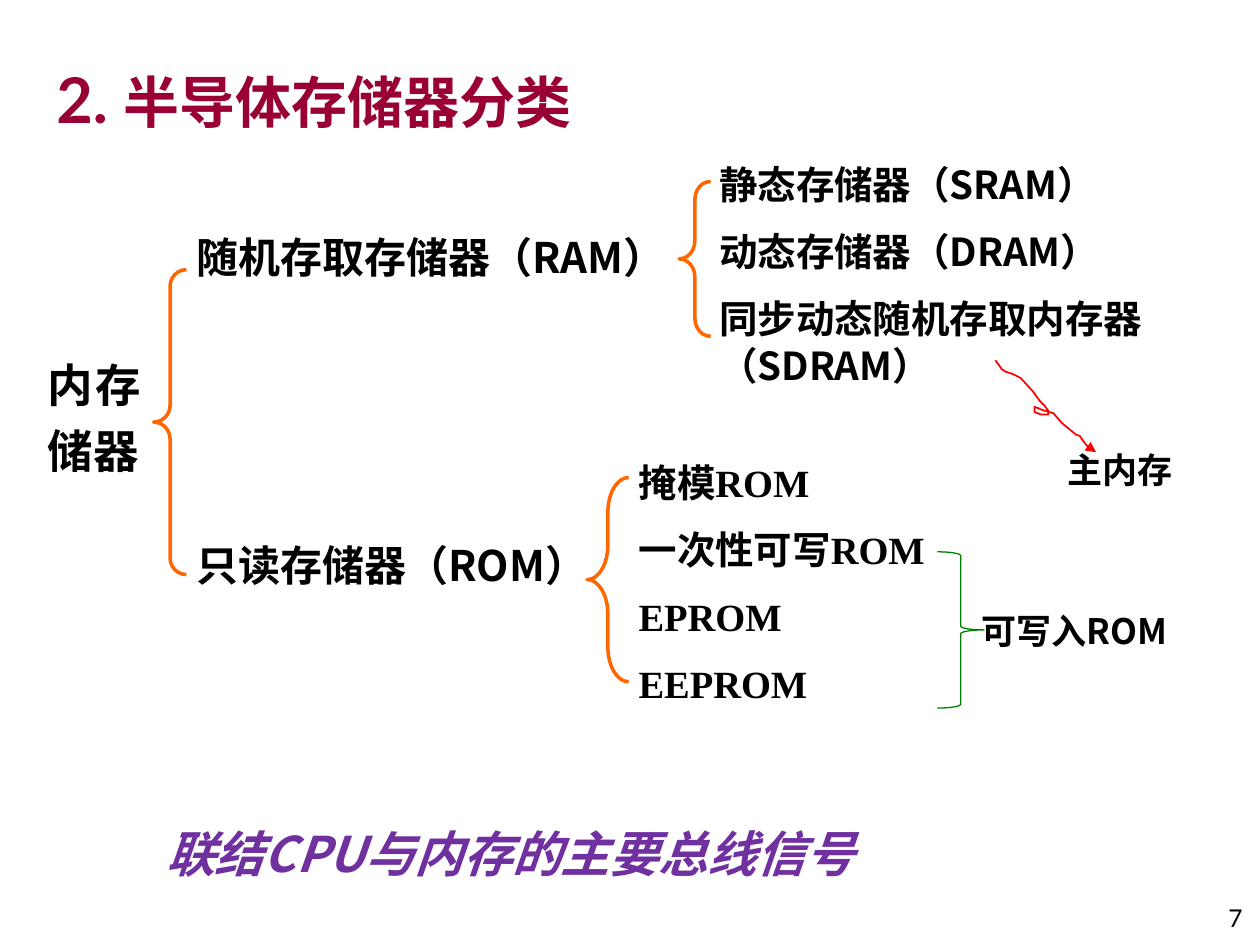
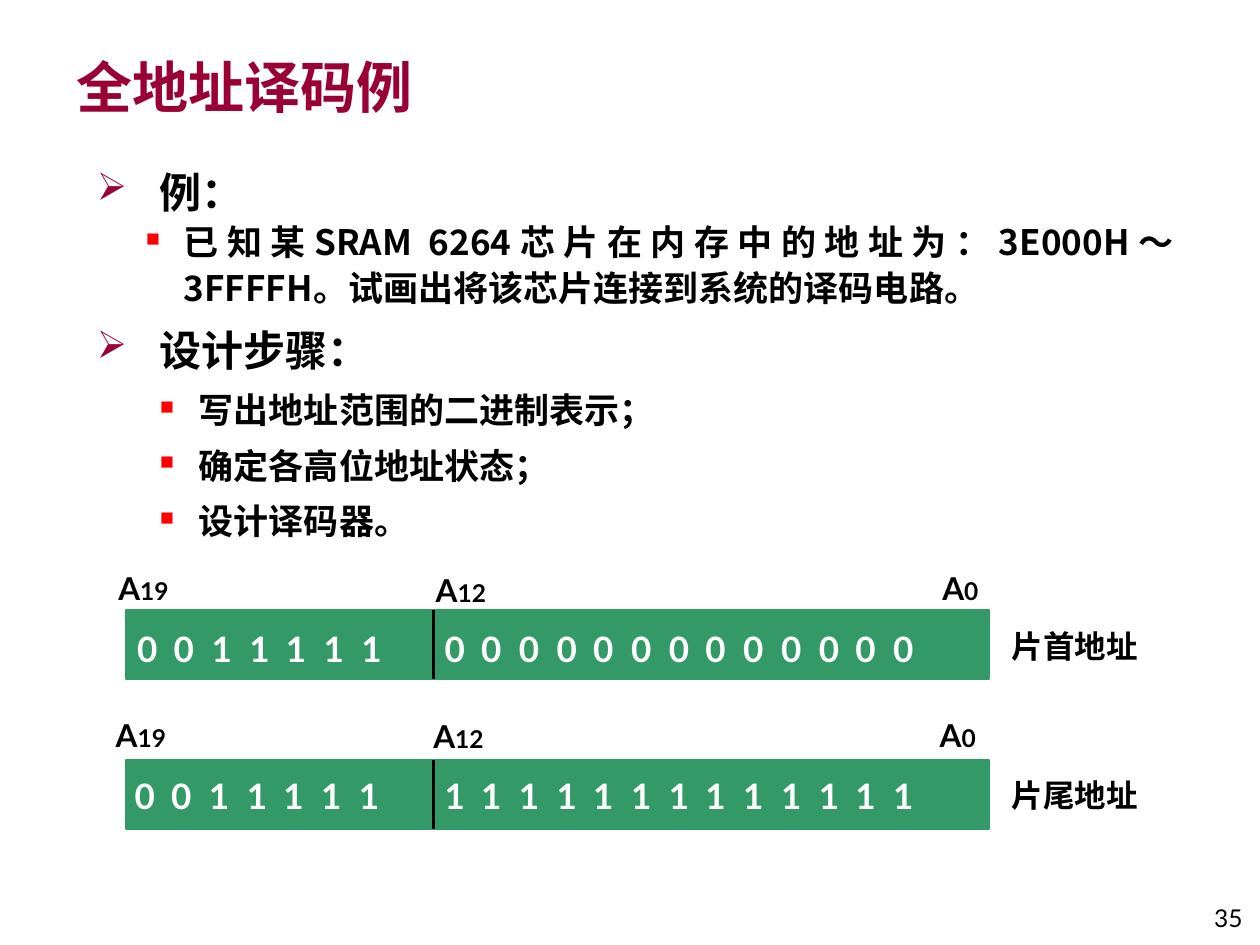
from lxml import etree
from pptx import Presentation
from pptx.dml.color import RGBColor
from pptx.enum.shapes import MSO_CONNECTOR as Connector, MSO_SHAPE as Preset
from pptx.enum.text import MSO_ANCHOR as Anchor, PP_ALIGN as Align
from pptx.oxml.ns import qn
from pptx.util import Pt

PX = 9144
SANS, LATIN, SERIF = "Noto Sans CJK SC", "Lato", "Times New Roman"
COLORS = {
    "black": "000000",
    "white": "FFFFFF",
    "title": "990033",
    "brace": "FF6600",
    "red": "FF0000",
    "green": "008000",
    "bar": "339966",
    "purple": "7030A0",
}
SCRIBBLE = [
    (790, 286), (793, 290), (795, 293), (798, 295), (804, 297), (810, 300),
    (820, 311), (825, 318), (829, 322), (832, 326), (832, 329), (826, 329),
    (821, 327), (821, 323), (824, 324), (826, 325), (836, 328), (843, 336),
    (854, 345), (857, 346), (859, 349), (862, 353), (865, 356), (870, 359),
]


def rgb(name):
    return RGBColor.from_string(COLORS[name])


def emu(*lengths):
    return [length * PX for length in lengths]


def add_element(parent, tag, **attributes):
    element = etree.SubElement(parent, qn(tag))
    for name, value in attributes.items():
        element.set(name, str(value))
    return element


def write(frame, text, size=20, font=SANS, color="black", bold=True, italic=False,
          align=Align.LEFT, before=0, after=0, spacing=None, level=0,
          bullet=None, indent=None, tabs=()):
    paragraph = frame.paragraphs[0]
    if paragraph.runs:
        paragraph = frame.add_paragraph()
        paragraph.space_before = Pt(before)
    properties = paragraph._p.get_or_add_pPr()
    if bullet:
        symbol, bullet_color, percent = bullet
        left, first = indent
        properties.set("marL", str(left * PX))
        properties.set("indent", str(first * PX))
        color_element = add_element(properties, "a:buClr")
        add_element(color_element, "a:srgbClr", val=COLORS[bullet_color])
        add_element(properties, "a:buSzPct", val=percent * 1000)
        add_element(properties, "a:buChar", char=symbol)
    if tabs:
        tab_list = add_element(properties, "a:tabLst")
        for position in tabs:
            add_element(tab_list, "a:tab", pos=position * PX, algn="l")
    paragraph.level = level
    paragraph.alignment = align
    paragraph.space_after = Pt(after)
    if spacing:
        paragraph.line_spacing = spacing
    runs = [(text, {})] if isinstance(text, str) else text
    for words, changes in runs:
        run = paragraph.add_run()
        run.text = words
        face = changes.get("font", font)
        run.font.name = face
        run.font.size = Pt(changes.get("size", size))
        run.font.bold = bold
        run.font.italic = italic
        run.font.color.rgb = rgb(color)
        if face == SANS:
            add_element(run._r.get_or_add_rPr(), "a:ea", typeface=SANS)


def add_box(slide, box, anchor=Anchor.TOP):
    frame = slide.shapes.add_textbox(*emu(*box)).text_frame
    frame.word_wrap = True
    frame.vertical_anchor = anchor
    return frame


def add_text(slide, text, box, anchor=Anchor.TOP, **text_format):
    write(add_box(slide, box, anchor), text, **text_format)


def add_title(slide, text, box):
    add_text(slide, text, box, Anchor.BOTTOM, size=32, color="title")


def add_page_number(slide, number):
    add_text(slide, number, (927, 695, 69, 50), Anchor.BOTTOM, size=14,
             font=LATIN, bold=False, align=Align.RIGHT)


def set_line(shape, color, width):
    shape.line.color.rgb = rgb(color)
    shape.line.width = Pt(width)


def add_brace(slide, preset, box, color, width, curve):
    brace = slide.shapes.add_shape(preset, *emu(*box))
    brace.shadow.inherit = False
    brace.fill.background()
    set_line(brace, color, width)
    brace.adjustments[0] = curve


def add_scribble_arrow(slide, points):
    builder = slide.shapes.build_freeform(*points[0], scale=PX)
    builder.add_line_segments(points[1:], close=False)
    arrow = builder.convert_to_shape()
    arrow.shadow.inherit = False
    arrow.fill.background()
    set_line(arrow, "red", 1)
    add_element(arrow.line._get_or_add_ln(), "a:tailEnd", type="triangle")


def add_bits(slide, bits, left, top, width):
    stops = [place * 297 // 10 for place in range(1, len(bits))]
    add_text(slide, "\t".join(bits), (left, top, width, 43),
             font=LATIN, color="white", tabs=stops)


def add_address_row(slide, high, low, caption, bar_top, label_top, bits_top,
                    caption_top, shift=0):
    bar = slide.shapes.add_shape(Preset.RECTANGLE, *emu(100, bar_top, 685, 55))
    bar.shadow.inherit = False
    bar.fill.solid()
    bar.fill.fore_color.rgb = rgb("bar")
    set_line(bar, "bar", 1)
    divider = slide.shapes.add_connector(
        Connector.STRAIGHT, *emu(344, bar_top, 344, bar_top + 55))
    add_element(divider._element.spPr, "a:effectLst")
    set_line(divider, "black", 1.75)
    for index, left, drop in (("19", 84, 0), ("12", 336, 1), ("0", 738, 0)):
        add_text(slide, [("A", {}), (index, {"size": 14})],
                 (left + shift, label_top + drop, 79, 40), size=18, font=LATIN)
    add_bits(slide, high, 99 + shift, bits_top, 252)
    add_bits(slide, low, 343, bits_top, 449)
    add_text(slide, caption, (793, caption_top, 126, 40), size=18)


def build_memory_types(slide):
    add_page_number(slide, "7")
    add_title(slide, [("2. ", {"size": 36, "font": LATIN}), ("半导体存储器分类", {})],
              (35, 21, 504, 92))
    add_text(slide, "内存储器", (28, 270, 94, 139), size=26,
             align=Align.JUSTIFY, spacing=1.2, after=2)
    for name, top in (("随机存取存储器（RAM）", 179), ("只读存储器（ROM）", 423)):
        add_text(slide, name, (146, top, 415, 50), size=24)

    serif = {"font": SERIF}
    ram_types = ["静态存储器（SRAM）", "动态存储器（DRAM）", "同步动态随机存取内存器（SDRAM）"]
    rom_types = [
        [("掩模", {}), ("ROM", serif)],
        [("一次性可写", {}), ("ROM", serif)],
        [("EPROM", serif)],
        [("EEPROM", serif)],
    ]
    for types, box in ((ram_types, (561, 123, 387, 192)),
                       (rom_types, (497, 359, 258, 209))):
        frame = add_box(slide, box)
        for name in types:
            write(frame, name, size=22, before=12)

    for box, curve in (((122, 214, 26, 242), 0.51), ((539, 144, 25, 123), 0.57),
                       ((466, 379, 33, 162), 0.83)):
        add_brace(slide, Preset.LEFT_BRACE, box, "brace", 2, curve)
    add_brace(slide, Preset.RIGHT_BRACE, (744, 438, 37, 124), "green", 0.75, 0.08)
    add_scribble_arrow(slide, SCRIBBLE)
    add_text(slide, "主内存", (813, 351, 152, 44), align=Align.CENTER)
    add_text(slide, "可写入ROM", (769, 479, 183, 44))
    add_text(slide, "联结CPU与内存的主要总线信号", (122, 649, 654, 57), size=28,
             color="purple", italic=True)


def build_decoding_example(slide):
    add_page_number(slide, "35")
    add_title(slide, "全地址译码例", (51, 21, 543, 79))

    heading = dict(size=24, align=Align.JUSTIFY, spacing=1.1, before=6,
                   bullet=("➢", "title", 91), indent=(50, -50))
    detail = dict(size=20, align=Align.JUSTIFY, level=1, bullet=("■", "red", 55))
    step = dict(detail, spacing=1.2, before=3, indent=(81, -31))
    body = add_box(slide, (67, 123, 874, 307))
    write(body, "例：", **heading)
    write(body, "已知某SRAM 6264芯片在内存中的地址为：3E000H～3FFFFH。"
          "试画出将该芯片连接到系统的译码电路。",
          spacing=1.1, indent=(69, -30), **detail)
    write(body, "设计步骤：", **heading)
    for text in ("写出地址范围的二进制表示；", "确定各高位地址状态；", "设计译码器。"):
        write(body, text, **step)

    high = "0011111"
    add_address_row(slide, high, "0" * 13, "片首地址", bar_top=484,
                    label_top=447, bits_top=493, caption_top=493)
    add_address_row(slide, high, "1" * 13, "片尾地址", bar_top=603,
                    label_top=563, bits_top=610, caption_top=611, shift=-2)


def main():
    presentation = Presentation()
    presentation.slide_width, presentation.slide_height = emu(1000, 750)
    for build in (build_memory_types, build_decoding_example):
        build(presentation.slides.add_slide(presentation.slide_layouts[6]))
    presentation.save("out.pptx")


if __name__ == "__main__":
    main()
